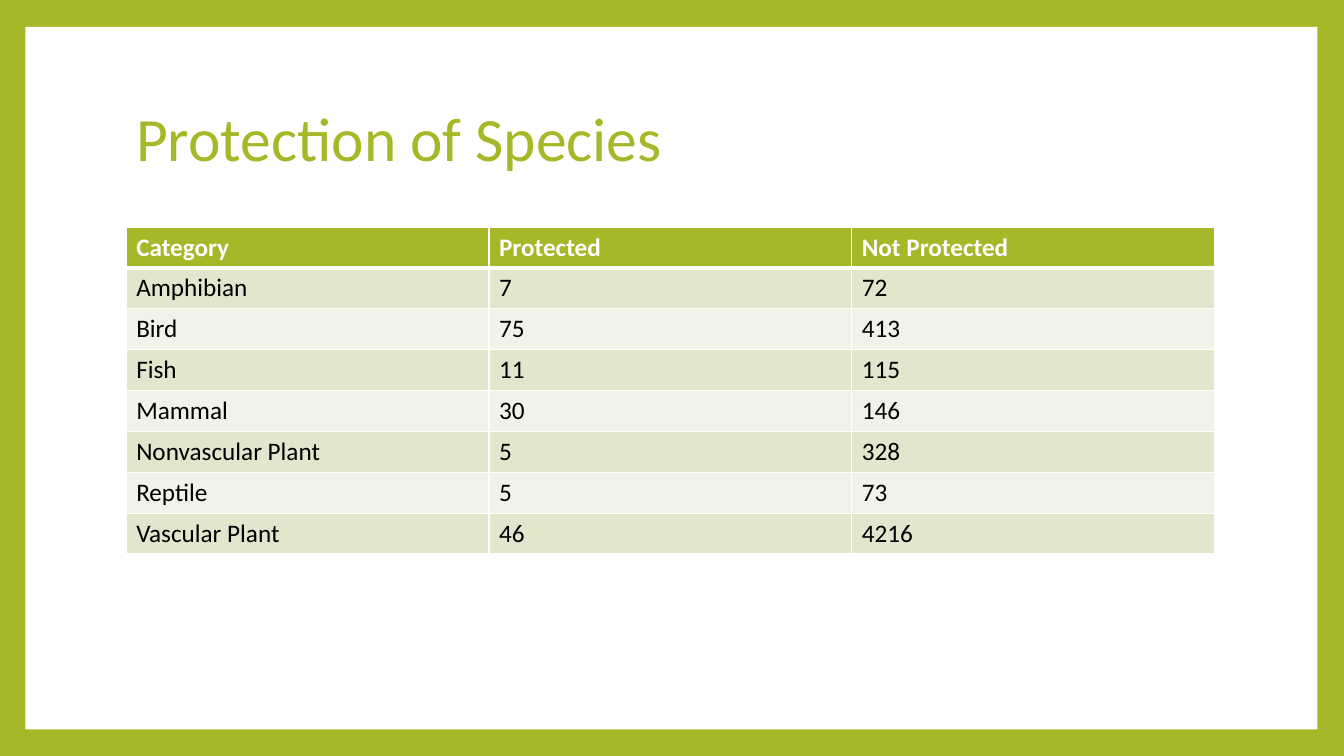
from lxml.etree import SubElement
from pptx import Presentation
from pptx.dml.color import RGBColor
from pptx.enum.shapes import MSO_SHAPE
from pptx.enum.text import MSO_ANCHOR
from pptx.oxml.ns import qn
from pptx.util import Cm, Pt

GREEN, WHITE, BLACK = "A6B727", "FFFFFF", "000000"
BANDS = ["E1E6CD", "F1F3E8"]
SPECIES = [
    ("Category", "Protected", "Not Protected"),
    ("Amphibian", 7, 72),
    ("Bird", 75, 413),
    ("Fish", 11, 115),
    ("Mammal", 30, 146),
    ("Nonvascular Plant", 5, 328),
    ("Reptile", 5, 73),
    ("Vascular Plant", 46, 4216),
]


def paint(fill, color):
    fill.solid()
    fill.fore_color.rgb = RGBColor.from_string(color)


def write(frame, text, color, **font_format):
    run = frame.paragraphs[0].add_run()
    run.text = text
    paint(run.font.fill, color)
    for name, value in {"name": "Calibri", **font_format}.items():
        setattr(run.font, name, value)


presentation = Presentation()
presentation.slide_width, presentation.slide_height = Cm(33.87), Cm(19.05)
slide = presentation.slides.add_slide(presentation.slide_layouts[6])

# Green frame around a white panel
paint(slide.background.fill, GREEN)
panel = slide.shapes.add_shape(
    MSO_SHAPE.RECTANGLE, Cm(0.64), Cm(0.68), Cm(32.56), Cm(17.7))
panel.shadow.inherit = False
paint(panel.fill, WHITE)
panel.line.fill.background()

# Title
left, width = Cm(3.18), Cm(27.43)
title = slide.shapes.add_textbox(left, Cm(1.7), width, Cm(3.76)).text_frame
title.word_wrap = True
title.vertical_anchor = MSO_ANCHOR.MIDDLE
title.paragraphs[0].line_spacing = 0.9
write(title, "Protection of Species", GREEN, size=Pt(44))

# Species table
row_height = Cm(1.03)
species_table = slide.shapes.add_table(
    len(SPECIES), len(SPECIES[0]), left, Cm(5.72), width,
    row_height * len(SPECIES)).table

for row, values in enumerate(SPECIES):
    header = row == 0
    for column, value in enumerate(values):
        cell = species_table.cell(row, column)
        write(cell.text_frame, str(value), WHITE if header else BLACK,
              size=Pt(18), bold=header)

        # White rules, thicker between header and body
        heavy_side = {0: "lnB", 1: "lnT"}.get(row)
        for side in ("lnL", "lnR", "lnT", "lnB"):
            weight = Pt(3 if side == heavy_side else 1)
            rule = SubElement(cell._tc.get_or_add_tcPr(), qn("a:" + side), w=str(weight))
            SubElement(SubElement(rule, qn("a:solidFill")), qn("a:srgbClr"), val=WHITE)

        paint(cell.fill, GREEN if header else BANDS[(row - 1) % 2])

presentation.save("out.pptx")
